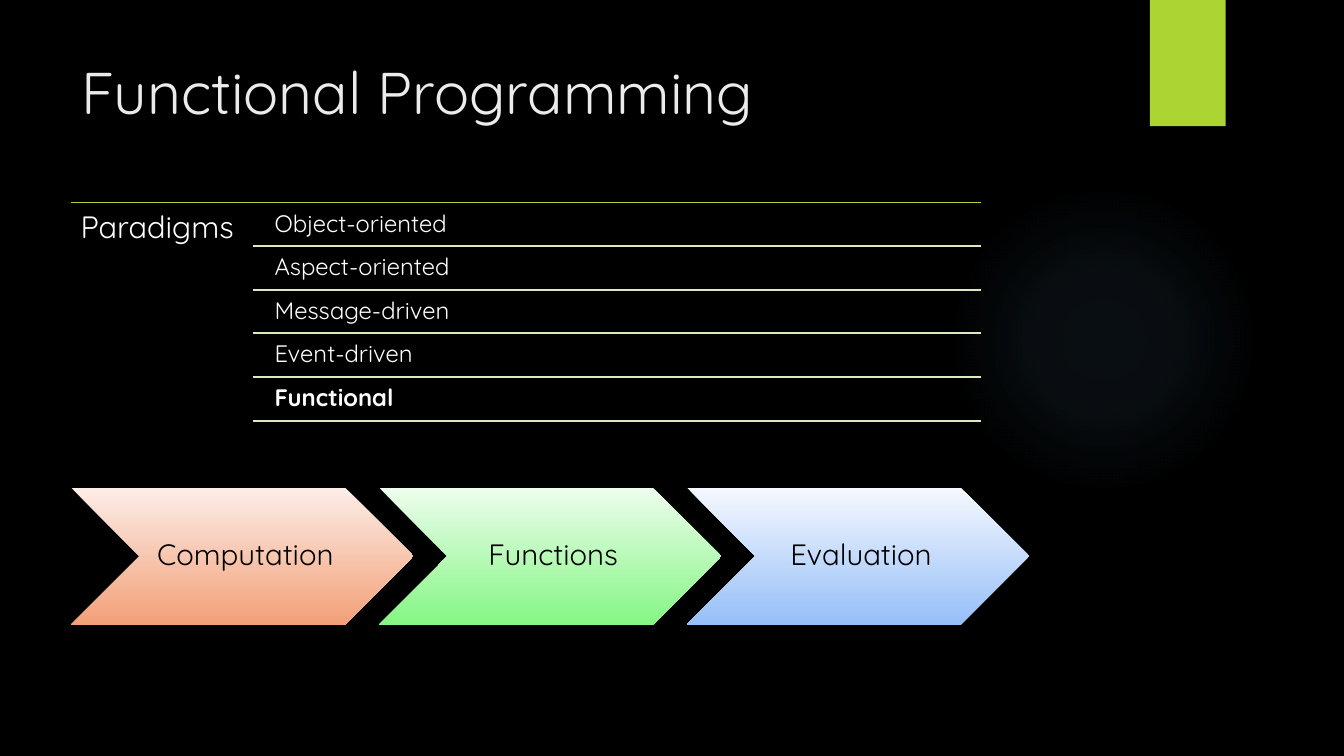
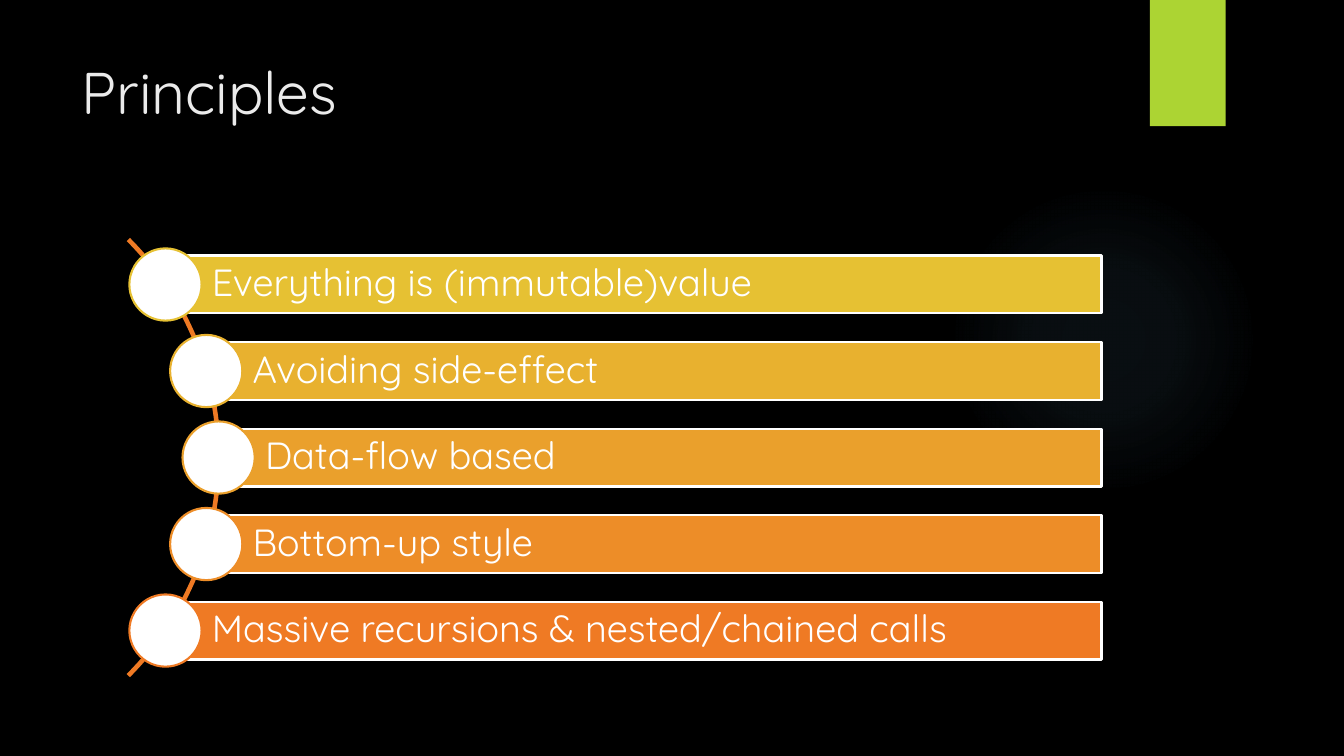
from math import cos, radians, sin, sqrt

from pptx import Presentation
from pptx.dml.color import RGBColor
from pptx.enum.shapes import MSO_CONNECTOR, MSO_SHAPE
from pptx.enum.text import MSO_ANCHOR, PP_ALIGN
from pptx.oxml import parse_xml
from pptx.oxml.ns import nsdecls, qn
from pptx.util import Cm, Pt

FONT = "Quicksand"
COLOURS = {
    "background": "000000",
    "title": "EBEBEB",
    "white": "FFFFFF",
    "black": "000000",
    "accent": "ACD433",
    "rule": "DBEBBF",
    "glow": "7AC4F0",
    "peach_light": "FCEDE7",
    "peach": "F3A078",
    "green_light": "EDFDED",
    "green": "85F684",
    "blue_light": "F5F8FE",
    "blue": "96BFF8",
    "yellow": "E6C133",
    "amber": "E8B12F",
    "gold": "EAA02C",
    "tangerine": "ED8D28",
    "orange": "EF7A24",
}
LEFT = 1.8
TITLE_ONLY = 5


def rgb(name):
    return RGBColor.from_string(COLOURS[name])


class Deck:
    """Holds the shared style and the current slide; positions are in centimetres."""

    def __init__(self):
        self.presentation = Presentation()
        self.presentation.slide_width = Cm(33.87)
        self.presentation.slide_height = Cm(19.05)
        self.layout = self.presentation.slide_layouts[TITLE_ONLY]
        self.slide = None
        background = self.presentation.slide_master.background.fill
        background.solid()
        background.fore_color.rgb = rgb("background")

    def add_slide(self, title):
        first = self.slide is None
        self.slide = self.presentation.slides.add_slide(self.layout)
        if first:
            self.decorate_layout()
        placeholder = self.slide.shapes.title
        placeholder.left, placeholder.top = Cm(LEFT), Cm(1.27)
        placeholder.width, placeholder.height = Cm(26.14), Cm(3.89)
        self.set_text(placeholder, title, 42, "title", spacing=1.0,
                      margins=(0.25, 0.13, 0.25, 0.13))

    def decorate_layout(self):
        """Draw the glow and the tab, then move them to the layout that all slides share."""
        glow = self.shape(MSO_SHAPE.OVAL, 23.9, 4.65, 7.82, 7.82)
        stops = "".join(
            f'<a:gs pos="{position}000"><a:srgbClr val="{COLOURS["glow"]}">'
            f'<a:alpha val="{opacity}000"/></a:srgbClr></a:gs>'
            for position, opacity in ((0, 7), (36, 6), (69, 0))
        )
        properties = glow.element.spPr
        properties.replace(properties.find(qn("a:noFill")), parse_xml(
            f'<a:gradFill {nsdecls("a")}><a:gsLst>{stops}</a:gsLst><a:path path="circle">'
            '<a:fillToRect l="50000" t="50000" r="50000" b="50000"/></a:path></a:gradFill>'
        ))
        tab = self.shape(MSO_SHAPE.RECTANGLE, 28.98, 0, 1.91, 3.18, fill="accent")
        for shape in (glow, tab):
            self.layout.shapes.element.append(shape.element)

    def set_text(self, shape, text, size, colour, bold=False, align=PP_ALIGN.LEFT,
                 anchor=MSO_ANCHOR.TOP, margins=(0.18, 0.18, 0.18, 0.18), spacing=0.9):
        frame = shape.text_frame
        frame.text = text
        frame.word_wrap = True
        frame.vertical_anchor = anchor
        (frame.margin_left, frame.margin_top,
         frame.margin_right, frame.margin_bottom) = map(Cm, margins)
        paragraph = frame.paragraphs[0]
        paragraph.alignment = align
        paragraph.line_spacing = spacing
        font = paragraph.runs[0].font
        font.name, font.size, font.bold = FONT, Pt(size), bold
        font.color.rgb = rgb(colour)

    def shape(self, kind, left, top, width, height, fill=None, line=None):
        shape = self.slide.shapes.add_shape(kind, Cm(left), Cm(top), Cm(width), Cm(height))
        self.paint(shape, fill, line)
        return shape

    def paint(self, shape, fill=None, line=None, weight=1.5):
        shape.shadow.inherit = False
        if fill:
            shape.fill.solid()
            shape.fill.fore_color.rgb = rgb(fill)
        else:
            shape.fill.background()
        if line:
            shape.line.color.rgb = rgb(line)
            shape.line.width = Pt(weight)
        else:
            shape.line.fill.background()

    def text(self, left, top, width, height, text, size, **style):
        box = self.slide.shapes.add_textbox(Cm(left), Cm(top), Cm(width), Cm(height))
        self.set_text(box, text, size, "white", **style)

    def rule(self, left, right, top, colour, weight):
        connector = self.slide.shapes.add_connector(
            MSO_CONNECTOR.STRAIGHT, Cm(left), Cm(top), Cm(right), Cm(top))
        connector.line.color.rgb = rgb(colour)
        connector.line.width = Pt(weight)
        connector.element.spPr.append(parse_xml(f'<a:effectLst {nsdecls("a")}/>'))

    def chevron(self, left, top, width, height, text, colours):
        chevron = self.shape(MSO_SHAPE.CHEVRON, left, top, width, height)
        chevron.fill.gradient()
        chevron.fill.gradient_angle = 270
        for stop, colour, position in zip(chevron.fill.gradient_stops, colours, (0, 1)):
            stop.color.rgb = rgb(colour)
            stop.position = position
        self.set_text(chevron, text, 21, "black", align=PP_ALIGN.CENTER,
                      anchor=MSO_ANCHOR.MIDDLE, margins=(0.23, 0.08, 0.08, 0.08))

    def arc(self, centre_x, centre_y, radius, colour):
        """Draw the right-hand quarter of a circle."""
        points = [
            (Cm(centre_x + radius * cos(radians(angle))),
             Cm(centre_y + radius * sin(radians(angle))))
            for angle in range(-45, 46)
        ]
        builder = self.slide.shapes.build_freeform(*points[0])
        builder.add_line_segments(points[1:], close=False)
        self.paint(builder.convert_to_shape(), line=colour, weight=3.25)

    def bullet_bar(self, left, right, middle, text, colour):
        height, diameter = 1.46, 1.82
        bar = self.shape(MSO_SHAPE.RECTANGLE, left, middle - height / 2, right - left, height,
                         fill=colour, line="white")
        self.set_text(bar, text, 27, "white", anchor=MSO_ANCHOR.MIDDLE,
                      margins=(1.17, 0.18, 0.18, 0.18))
        self.shape(MSO_SHAPE.OVAL, left - diameter / 2, middle - diameter / 2,
                   diameter, diameter, fill="white", line=colour)


def add_paradigms_slide(deck):
    deck.add_slide("Functional Programming")
    top, row_height, row_left, right = 5.1, 1.1, 6.38, 24.72
    deck.rule(LEFT, right, top, "accent", 0.75)
    deck.text(LEFT, top, 4.58, 5.54, "Paradigms", 22, margins=(0.23, 0.23, 0.23, 0.23))
    paradigms = ("Object-oriented", "Aspect-oriented", "Message-driven",
                 "Event-driven", "Functional")
    for index, paradigm in enumerate(paradigms):
        row_top = top + index * row_height
        deck.text(row_left + 0.36, row_top + 0.05, right - row_left - 0.36, 1.04,
                  paradigm, 17, bold=paradigm == "Functional")
        deck.rule(row_left, right, row_top + row_height, "rule", 1.5)

    width = 8.62
    steps = (
        ("Computation", ("peach_light", "peach")),
        ("Functions", ("green_light", "green")),
        ("Evaluation", ("blue_light", "blue")),
    )
    for index, (step, colours) in enumerate(steps):
        deck.chevron(LEFT + index * 0.9 * width, 12.29, width, 0.4 * width, step, colours)


def add_principles_slide(deck):
    deck.add_slide("Principles")
    centre_x, centre_y, radius, pitch = -2.26, 11.53, 7.77, 2.18
    deck.arc(centre_x, centre_y, radius, "orange")
    principles = (
        ("Everything is (immutable)value", "yellow"),
        ("Avoiding side-effect", "amber"),
        ("Data-flow based", "gold"),
        ("Bottom-up style", "tangerine"),
        ("Massive recursions & nested/chained calls", "orange"),
    )
    for index, (principle, colour) in enumerate(principles):
        offset = (index - 2) * pitch
        left = centre_x + sqrt(radius ** 2 - offset ** 2)
        deck.bullet_bar(left, 27.76, centre_y + offset, principle, colour)


def main():
    deck = Deck()
    add_paradigms_slide(deck)
    add_principles_slide(deck)
    deck.presentation.save("out.pptx")


if __name__ == "__main__":
    main()
